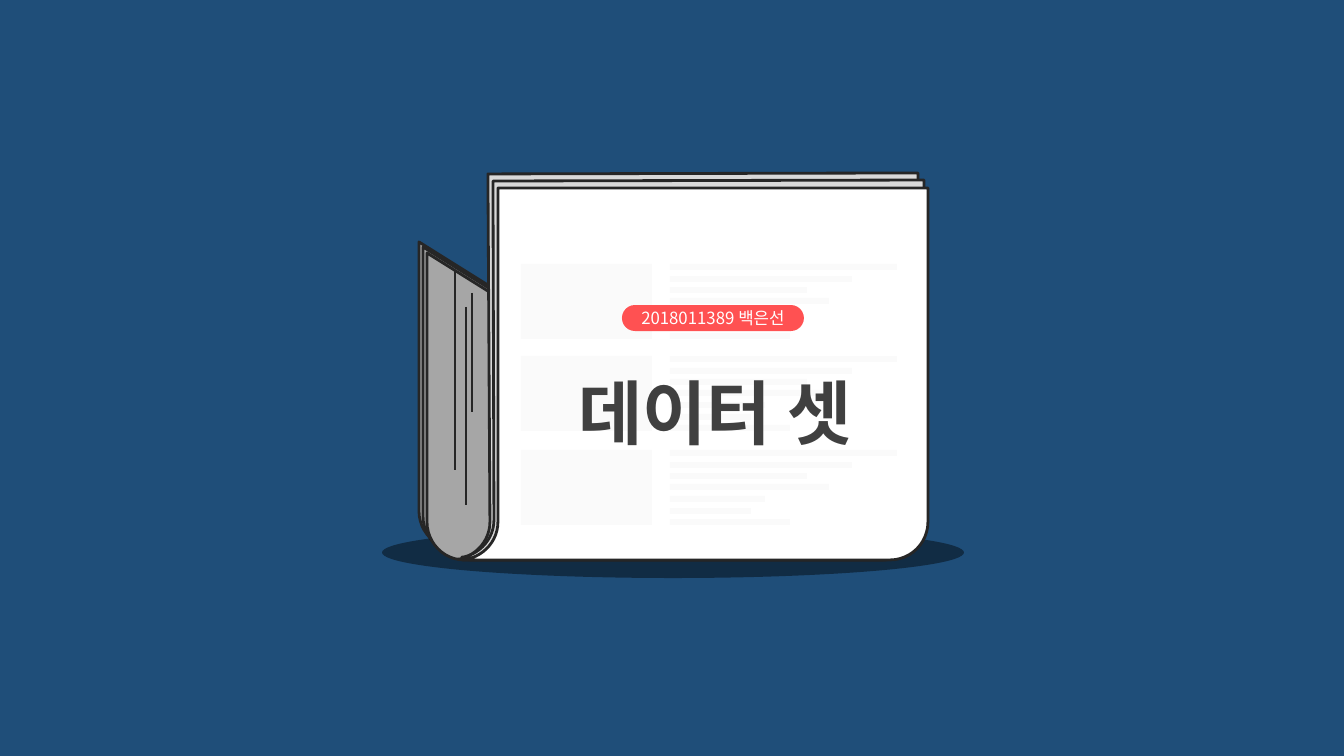
from lxml.etree import SubElement
from pptx import Presentation
from pptx.dml.color import RGBColor
from pptx.enum.shapes import MSO_CONNECTOR, MSO_SHAPE
from pptx.enum.text import MSO_ANCHOR, MSO_AUTO_SIZE, PP_ALIGN
from pptx.oxml.ns import qn
from pptx.util import Emu, Inches, Pt

PX = Inches(1) / 100.8
FONT = "Noto Sans CJK KR"
NAVY = RGBColor(0x1F, 0x4E, 0x79)
INK = RGBColor(0x26, 0x26, 0x26)
BACK_GRAY = RGBColor(0xA6, 0xA6, 0xA6)
PAGE_GRAY = RGBColor(0xD9, 0xD9, 0xD9)
WHITE = RGBColor(0xFF, 0xFF, 0xFF)
BLACK = RGBColor(0, 0, 0)
TITLE_GRAY = RGBColor(0x40, 0x40, 0x40)
RED = RGBColor(0xFF, 0x51, 0x52)


def px(n):
    """Turn pixels into EMU."""
    return Emu(round(n * PX))


def curve(p0, p1, p2, p3, steps=12):
    """Return points along a cubic Bezier curve."""
    ts = [i / steps for i in range(steps + 1)]
    return [tuple((1 - t) ** 3 * a + 3 * t * (1 - t) ** 2 * b
                  + 3 * t * t * (1 - t) * c + t ** 3 * d
                  for a, b, c, d in zip(p0, p1, p2, p3)) for t in ts]


class Slide:
    """Holds the style and the slide being drawn."""

    def __init__(self, prs):
        """Add a title-only slide with a plain background."""
        self.s = prs.slides.add_slide(prs.slide_layouts[5])
        self.s.background.fill.solid()
        self.s.background.fill.fore_color.rgb = NAVY

    def paint(self, sp, color, alpha=None):
        """Fill a shape, with an optional opacity in percent."""
        sp.shadow.inherit = False
        sp.fill.solid()
        sp.fill.fore_color.rgb = color
        if alpha is not None:
            clr = sp.fill._xPr.find(qn("a:solidFill"))[0]
            SubElement(clr, qn("a:alpha"), val=str(alpha * 1000))

    def shape(self, kind, x, y, w, h, color, alpha=None):
        """Add a preset shape without an outline."""
        sp = self.s.shapes.add_shape(kind, px(x), px(y), px(w), px(h))
        self.paint(sp, color, alpha)
        sp.line.fill.background()
        return sp

    def outline(self, points, color):
        """Add a closed, inked outline."""
        pts = [(px(x), px(y)) for x, y in points]
        fb = self.s.shapes.build_freeform(*pts[0], scale=1.0)
        fb.add_line_segments(pts[1:], close=True)
        sp = fb.convert_to_shape()
        self.paint(sp, color)
        sp.line.color.rgb = INK
        sp.line.width = Pt(2)

    def vertical(self, x, top, bottom):
        """Add a thin vertical line."""
        cx = self.s.shapes.add_connector(
            MSO_CONNECTOR.STRAIGHT, px(x), px(top), px(x), px(bottom))
        cx.line.color.rgb = INK
        cx.line.width = Pt(1.25)
        SubElement(cx._element.spPr, qn("a:effectLst"))

    def text(self, sp, words, size, color, anchor, bold=False):
        """Write one centred run and return its paragraph."""
        tf = sp.text_frame
        tf.word_wrap = True
        tf.auto_size = MSO_AUTO_SIZE.NONE
        tf.vertical_anchor = anchor
        p = tf.paragraphs[0]
        p.alignment = PP_ALIGN.CENTER
        r = p.add_run()
        r.text = words
        r.font.name, r.font.size, r.font.bold = FONT, Pt(size), bold
        r.font.color.rgb = color
        SubElement(r.font._element, qn("a:ea"), typeface=FONT)
        return p

    def title(self, words, x, y, w, h):
        """Place the title placeholder in front of the newspaper."""
        sp = self.s.shapes.title
        sp.left, sp.top, sp.width, sp.height = px(x), px(y), px(w), px(h)
        sp.element.getparent().append(sp.element)
        p = self.text(sp, words, 50, TITLE_GRAY, MSO_ANCHOR.TOP, bold=True)
        p.line_spacing = 1.5

    def pill(self, words, x, y, w, h):
        """Add a fully rounded label."""
        sp = self.shape(MSO_SHAPE.ROUNDED_RECTANGLE, x, y, w, h, RED)
        sp.adjustments[0] = 0.5
        tf = sp.text_frame
        tf.margin_top = tf.margin_bottom = 0
        self.text(sp, words, 12, WHITE, MSO_ANCHOR.MIDDLE)

    def back_sheet(self, x, y):
        """Draw a folded sheet behind the front page."""
        points = [(0, 0),
                  *curve((430, 269), (430, 287), (443, 302), (460, 306)),
                  (463, 306), (458, 307),
                  *curve((37, 307), (17, 307), (0, 290), (0, 269))]
        self.outline([(x + dx, y + dy) for dx, dy in points], BACK_GRAY)

    def front_sheet(self, top_left, top_right, fold, foot, color):
        """Draw a front sheet that curls at its lower left corner."""
        edge = fold + 430
        points = [top_left, top_right,
                  *curve((edge, foot - 38), (edge, foot - 17),
                         (edge - 17, foot), (edge - 38, foot)),
                  (fold - 27, foot), (fold - 32, foot - 1),
                  *curve((fold - 30, foot - 1), (fold - 13, foot - 5),
                         (fold, foot - 20), (fold, foot - 38))]
        self.outline(points, color)

    def article(self, y, skipped=()):
        """Draw a faint picture block and its lines of text."""
        self.shape(MSO_SHAPE.RECTANGLE, 521, y, 131, 75, BLACK, 2)
        for i, w in enumerate((227, 182, 137, 159, 95, 81, 120)):
            if i not in skipped:
                self.shape(MSO_SHAPE.RECTANGLE, 670, y + round(11.5 * i),
                           w, 6, BLACK, 2)


def main():
    """Build the cover slide."""
    prs = Presentation()
    prs.slide_width, prs.slide_height = px(1344), px(756)
    s = Slide(prs)
    s.back_sheet(419, 242)
    s.back_sheet(423, 247)
    s.shape(MSO_SHAPE.OVAL, 382, 527, 582, 51, BLACK, 43)
    s.back_sheet(427, 253)
    for x, top, bottom in ((455, 271, 470), (466, 307, 505), (472, 293, 412)):
        s.vertical(x, top, bottom)
    s.front_sheet((488, 174), (918, 173), 490, 560, PAGE_GRAY)
    s.front_sheet((493, 181), (924, 180), 494, 558, PAGE_GRAY)
    s.front_sheet((498, 188), (928, 188), 498, 560, WHITE)
    s.article(264, skipped=(4, 5))
    s.article(356)
    s.article(450)
    s.title("데이터 셋", 511, 322, 408, 127)
    s.pill("2018011389 백은선", 622, 305, 182, 26)
    prs.save("out.pptx")


main()
